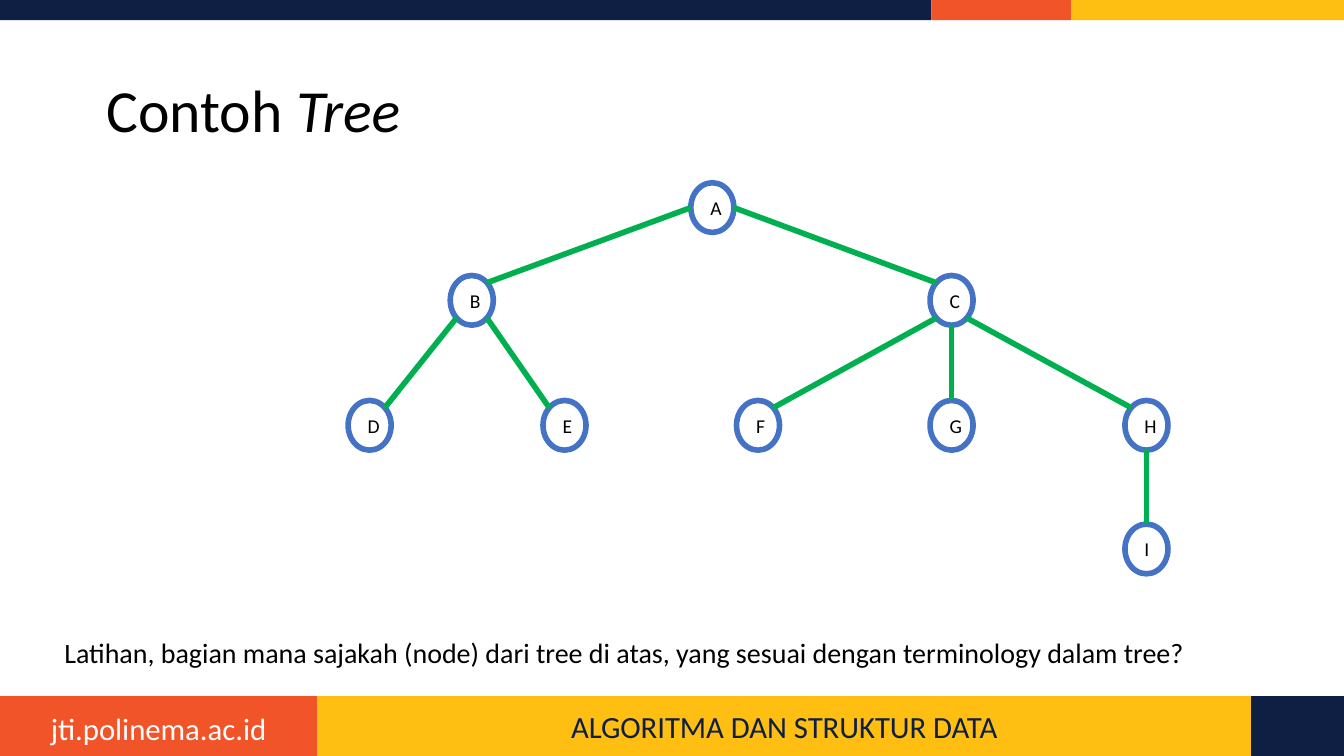
import math
import pptx
import pptx.dml.color
import pptx.enum.shapes
import pptx.enum.text
import pptx.oxml
import pptx.util

Inches = pptx.util.Inches
Kind = pptx.enum.shapes.MSO_SHAPE
Align = pptx.enum.text.PP_ALIGN
Anchor = pptx.enum.text.MSO_ANCHOR

NAVY, RED, GOLD = "0E1F43", "F15429", "FEBF12"
BLUE, GREEN, WHITE, BLACK = "4472C4", "00B050", "FFFFFF", "000000"
NODE_W, NODE_H = 0.32, 0.37
NODES = {
    "B": (0.76, 0.69), "A": (2.55, 0), "C": (4.33, 0.69),
    "D": (0, 1.62), "E": (1.45, 1.62), "F": (2.89, 1.62),
    "G": (4.33, 1.62), "H": (5.78, 1.62), "I": (5.78, 2.54),
}
DIAG = math.sqrt(0.5)
SITES = {
    "n": (0, -1), "s": (0, 1), "w": (-1, 0), "e": (1, 0),
    "nw": (-DIAG, -DIAG), "ne": (DIAG, -DIAG),
    "sw": (-DIAG, DIAG), "se": (DIAG, DIAG),
}
EDGES = [
    ("D", "ne", "B", "sw"), ("A", "w", "B", "ne"),
    ("A", "e", "C", "nw"), ("F", "ne", "C", "sw"),
    ("G", "n", "C", "s"), ("H", "nw", "C", "se"),
    ("I", "n", "H", "s"), ("E", "nw", "B", "se"),
]


def color(code):
    return pptx.dml.color.RGBColor.from_string(code)


def style(para, size, code, align=Align.LEFT):
    para.alignment = align
    para.font.size = pptx.util.Pt(size)
    para.font.name = "Calibri"
    para.font.color.rgb = color(code)


def add_shape(slide, kind, box, fill):
    shape = slide.shapes.add_shape(kind, *map(Inches, box))
    shape.shadow.inherit = False
    shape.fill.solid()
    shape.fill.fore_color.rgb = color(fill)
    shape.line.fill.background()
    return shape


def add_bar(slide, box, parts):
    left, top, width, height = box
    shapes = []
    for part, fill in parts:
        shapes.append(add_shape(slide, Kind.RECTANGLE, (left, top, part, height), fill))
        left += part
    return shapes


def add_text(slide, box, text, size, code, align=Align.LEFT):
    frame = slide.shapes.add_textbox(*map(Inches, box)).text_frame
    frame.word_wrap = True
    frame.text = text
    style(frame.paragraphs[0], size, code, align)


def add_foot(slide, box):
    left, top, width, height = box
    site, end = 2.36, 0.69
    parts = [(site, RED), (width - site - end, GOLD), (end, NAVY)]
    course = add_bar(slide, box, parts)[1].text_frame
    course.text = "ALGORITMA DAN STRUKTUR DATA"
    style(course.paragraphs[0], 16.5, NAVY, Align.CENTER)
    add_text(slide, (left, top + 0.05, site, height - 0.07),
             "jti.polinema.ac.id", 16.5, WHITE, Align.CENTER)


def add_title(slide, box):
    title = slide.shapes.title
    title.left, title.top, title.width, title.height = map(Inches, box)
    title.text_frame.vertical_anchor = Anchor.MIDDLE
    para = title.text_frame.paragraphs[0]
    para.line_spacing = 0.9
    style(para, 32, BLACK)
    para.add_run().text = "Contoh "
    term = para.add_run()
    term.text = "Tree"
    term.font.italic = True


def add_node(slide, box, name):
    node = add_shape(slide, Kind.OVAL, box, WHITE)
    node.line.color.rgb = color(BLUE)
    node.line.width = pptx.util.Pt(3)
    node.text_frame.text = name
    style(node.text_frame.paragraphs[0], 10.5, BLACK, Align.CENTER)


def add_edge(slide, start, end):
    kind = pptx.enum.shapes.MSO_CONNECTOR.STRAIGHT
    edge = slide.shapes.add_connector(kind, *map(Inches, start + end))
    edge.line.color.rgb = color(GREEN)
    edge.line.width = pptx.util.Pt(3)
    space = "http://schemas.openxmlformats.org/drawingml/2006/main"
    edge._element.spPr.append(pptx.oxml.parse_xml(f'<a:effectLst xmlns:a="{space}"/>'))


def add_tree(slide, box):
    left, top = box[:2]

    def point(name, site):
        x, y = NODES[name]
        dx, dy = SITES[site]
        return left + x + NODE_W * (1 + dx) / 2, top + y + NODE_H * (1 + dy) / 2

    for name, (x, y) in NODES.items():
        add_node(slide, (left + x, top + y, NODE_W, NODE_H), name)
    for child, start, parent, end in EDGES:
        add_edge(slide, point(child, start), point(parent, end))


def main():
    deck = pptx.Presentation()
    deck.slide_width = Inches(10)
    deck.slide_height = deck.slide_width * 9 // 16
    slide = deck.slides.add_slide(deck.slide_layouts[5])
    add_bar(slide, (0, 0, 10, 0.15), [(6.93, NAVY), (1.04, RED), (2.03, GOLD)])
    add_foot(slide, (0, 5.18, 10, 0.45))
    add_title(slide, (0.69, 0.3, 8.62, 1.09))
    add_tree(slide, (2.59, 1.36, 6.1, 2.91))
    add_text(slide, (0.38, 4.68, 9.52, 0.35),
             "Latihan, bagian mana sajakah (node) dari tree di atas, "
             "yang sesuai dengan terminology dalam tree?", 15, BLACK)
    deck.save("out.pptx")


if __name__ == "__main__":
    main()
